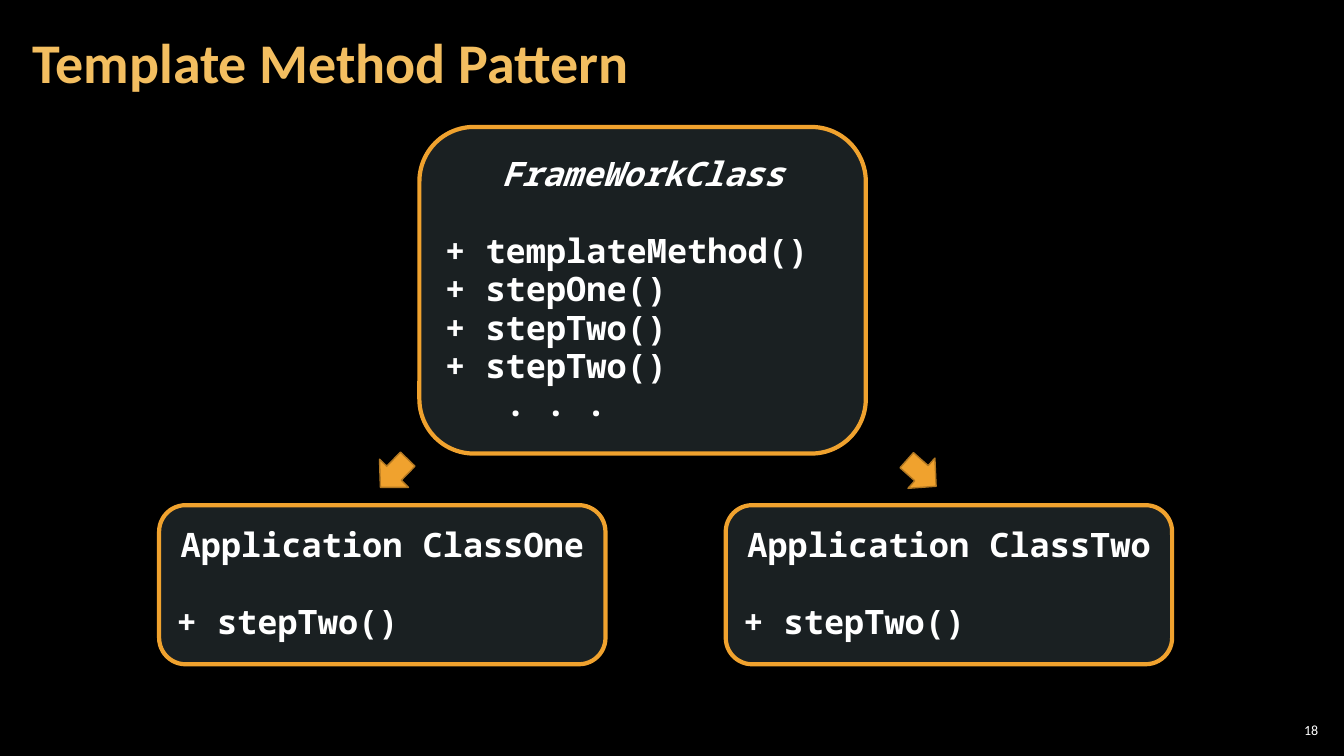
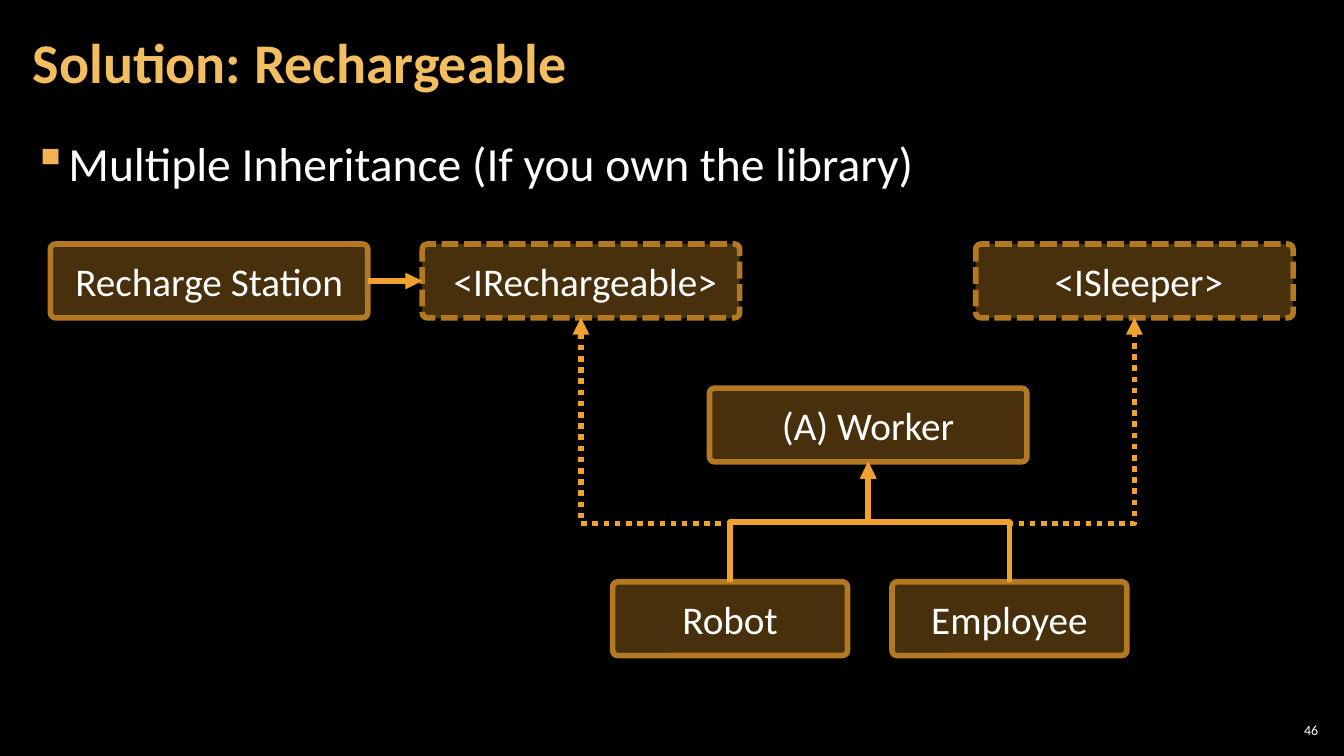
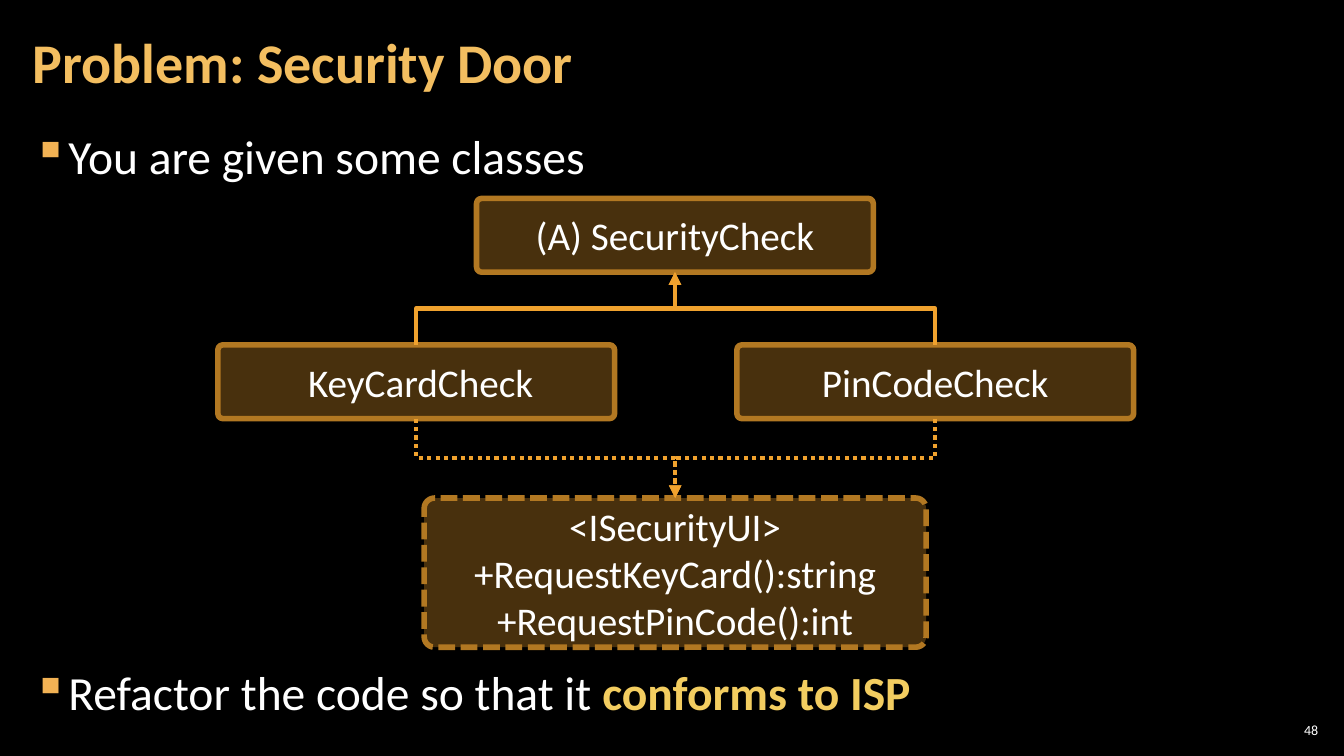
from dataclasses import dataclass
from typing import Any, NamedTuple

import lxml.etree
import pptx
import pptx.dml.color
import pptx.enum.dml
import pptx.enum.shapes
import pptx.enum.text
import pptx.oxml.ns
import pptx.util

Cm = pptx.util.Cm
Pt = pptx.util.Pt
qn = pptx.oxml.ns.qn
Preset = pptx.enum.shapes.MSO_SHAPE
Route = pptx.enum.shapes.MSO_CONNECTOR
Align = pptx.enum.text.PP_ALIGN
Anchor = pptx.enum.text.MSO_ANCHOR
Dash = pptx.enum.dml.MSO_LINE

COLORS = {
    "background": "000000",
    "title": "F3BE60",
    "text": "FFFFFF",
    "bullet": "F2B254",
    "strong": "F3CD60",
    "accent": "F0A22E",
    "border": "B27822",
    "card": "B5DBE5",
}
BODY_FONT = "Calibri"
CODE_FONT = "Noto Sans Mono"
TITLE_FONT = {"name": BODY_FONT, "size": Pt(40), "bold": True}
BULLET_FONT = {"name": BODY_FONT, "size": Pt(34)}
BOX_FONT = {"name": BODY_FONT, "size": Pt(28)}
CARD_FONT = {"name": CODE_FONT, "size": Pt(24), "bold": True}
NUMBER_FONT = {"name": BODY_FONT, "size": Pt(10)}
WIDE_INSETS = {"margin_left": Cm(0.3), "margin_right": Cm(0.3),
               "margin_top": Cm(0.1), "margin_bottom": Cm(0.1)}
TIGHT_INSETS = dict.fromkeys(WIDE_INSETS, Cm(0.1))

# Connection sites of a rectangle
TOP, LEFT, BOTTOM, RIGHT = range(4)


class Frame(NamedTuple):
    """Left, top, width and height in centimetres."""
    left: float
    top: float
    width: float
    height: float

    def lengths(self) -> list[int]:
        return [Cm(value) for value in self]


@dataclass(frozen=True)
class ClassBox:
    lines: str
    frame: Frame
    is_interface: bool = False


@dataclass(frozen=True)
class ClassCard:
    heading: str
    methods: list[str]
    frame: Frame
    is_abstract: bool = False


@dataclass(frozen=True)
class Bullet:
    plain: str
    strong: str = ""
    space_before: float = 0


@dataclass(frozen=True)
class Link:
    start: str
    start_site: int
    end: str
    end_site: int
    dotted: bool = False
    bend: float = 0.5


def apply(target: Any, values: dict[str, Any]) -> None:
    for name, value in values.items():
        setattr(target, name, value)


def rgb(color: str) -> pptx.dml.color.RGBColor:
    return pptx.dml.color.RGBColor.from_string(COLORS[color])


def set_font(font: Any, values: dict[str, Any], color: str = "text") -> None:
    apply(font, values)
    font.color.rgb = rgb(color)


def set_line(line: Any, color: str, points: float, dash: Any = None) -> None:
    line.color.rgb = rgb(color)
    line.width = Pt(points)
    if dash is not None:
        line.dash_style = dash


def add_filled(slide: Any, preset: Any, frame: Frame, color: str, opacity: int = 100) -> Any:
    shape = slide.shapes.add_shape(preset, *frame.lengths())
    shape.shadow.inherit = False
    shape.fill.solid()
    shape.fill.fore_color.rgb = rgb(color)
    if opacity < 100:
        fill_color = shape._element.spPr.find(".//" + qn("a:srgbClr"))
        lxml.etree.SubElement(fill_color, qn("a:alpha")).set("val", str(opacity * 1000))
    return shape


def add_text_box(slide: Any, frame: Frame, insets: dict[str, Any]) -> Any:
    text = slide.shapes.add_textbox(*frame.lengths()).text_frame
    text.word_wrap = True
    apply(text, insets)
    return text


def add_titled_slide(deck: Any, heading: str, number: int) -> Any:
    slide = deck.slides.add_slide(deck.slide_layouts[5])
    title = slide.shapes.title
    apply(title, dict(zip(("left", "top", "width", "height"),
                          Frame(0.53, 0.1, 26.59, 3.07).lengths())))
    title_text = title.text_frame
    title_text.text = heading
    apply(title_text, WIDE_INSETS | {"vertical_anchor": Anchor.MIDDLE, "word_wrap": True,
                                     "auto_size": pptx.enum.text.MSO_AUTO_SIZE.NONE})
    apply(title_text.paragraphs[0], {"alignment": Align.LEFT, "line_spacing": 0.9})
    set_font(title_text.paragraphs[0].runs[0].font, TITLE_FONT, "title")

    page = add_text_box(slide, Frame(32.13, 18.14, 1.19, 0.53), TIGHT_INSETS)
    page.vertical_anchor = Anchor.MIDDLE
    page.text = str(number)
    page.paragraphs[0].alignment = Align.RIGHT
    set_font(page.paragraphs[0].font, NUMBER_FONT)
    return slide


def add_bullets(slide: Any, top: float, bullets: list[Bullet]) -> None:
    text = add_text_box(slide, Frame(0.53, top, 32.79, 15.47), WIDE_INSETS)
    for index, bullet in enumerate(bullets):
        paragraph = text.add_paragraph() if index else text.paragraphs[0]
        properties = paragraph._p.get_or_add_pPr()
        properties.set("marL", str(Cm(0.84)))
        properties.set("indent", str(-Cm(0.84)))
        mark_color = lxml.etree.SubElement(properties, qn("a:buClr"))
        lxml.etree.SubElement(mark_color, qn("a:srgbClr")).set("val", COLORS["bullet"])
        lxml.etree.SubElement(properties, qn("a:buChar")).set("char", "▪")
        apply(paragraph, {"line_spacing": 1.05, "space_after": Pt(6),
                          "space_before": Pt(bullet.space_before)})
        for words, style, color in ((bullet.plain, {}, "text"),
                                    (bullet.strong, {"bold": True}, "strong")):
            if words:
                run = paragraph.add_run()
                run.text = words
                set_font(run.font, BULLET_FONT | style, color)


def add_class_box(slide: Any, box: ClassBox) -> Any:
    shape = add_filled(slide, Preset.ROUNDED_RECTANGLE, box.frame, "accent", 30)
    shape.adjustments[0] = 0.07
    set_line(shape.line, "border", 4, Dash.SQUARE_DOT if box.is_interface else None)
    text = shape.text_frame
    text.text = box.lines
    apply(text, {"word_wrap": True, "vertical_anchor": Anchor.MIDDLE})
    for paragraph in text.paragraphs:
        paragraph.alignment = Align.CENTER
        set_font(paragraph.font, BOX_FONT)
    return shape


def add_class_card(slide: Any, card: ClassCard) -> None:
    shape = add_filled(slide, Preset.ROUNDED_RECTANGLE, card.frame, "card", 15)
    set_line(shape.line, "accent", 3)
    text = shape.text_frame
    text.text = "\n".join([card.heading, *card.methods])
    apply(text, {"word_wrap": True, "vertical_anchor": Anchor.MIDDLE})
    for paragraph in text.paragraphs:
        if paragraph.text.startswith("."):
            paragraph._p.get_or_add_pPr().set("marL", str(Cm(1.52)))
        apply(paragraph, {"alignment": Align.LEFT, "line_spacing": 0.95})
        set_font(paragraph.font, CARD_FONT)
    heading = text.paragraphs[0]
    apply(heading, {"alignment": Align.CENTER, "space_after": Pt(27.4)})
    heading.font.italic = card.is_abstract


def turn_elbow(connector: Any, bend: float) -> None:
    """Make an elbow leave and arrive vertically by rotating its frame."""
    start_x, start_y = connector.begin_x, connector.begin_y
    end_x, end_y = connector.end_x, connector.end_y
    middle_x, middle_y = (start_x + end_x) // 2, (start_y + end_y) // 2
    half_x, half_y = (end_x - start_x) // 2, (end_y - start_y) // 2
    degrees, sign = (90, 1) if half_x * half_y < 0 else (270, -1)
    apply(connector, {
        "begin_x": middle_x - sign * half_y,
        "begin_y": middle_y + sign * half_x,
        "end_x": middle_x + sign * half_y,
        "end_y": middle_y - sign * half_x,
    })
    properties = connector._element.spPr
    properties.find(qn("a:xfrm")).set("rot", str(degrees * 60000))
    guides = properties.find(".//" + qn("a:avLst"))
    guide = lxml.etree.SubElement(guides, qn("a:gd"))
    guide.set("name", "adj1")
    guide.set("fmla", f"val {round(bend * 100000)}")


def add_link(slide: Any, shapes: dict[str, Any], link: Link, points: float) -> None:
    is_straight = link.start_site == RIGHT
    route = Route.STRAIGHT if is_straight else Route.ELBOW
    connector = slide.shapes.add_connector(route, 0, 0, 0, 0)
    connector.begin_connect(shapes[link.start], link.start_site)
    connector.end_connect(shapes[link.end], link.end_site)
    if not is_straight:
        turn_elbow(connector, link.bend)
    set_line(connector.line, "accent", points, Dash.ROUND_DOT if link.dotted else None)
    properties = connector._element.spPr
    lxml.etree.SubElement(properties.find(qn("a:ln")), qn("a:tailEnd")).set("type", "triangle")
    lxml.etree.SubElement(properties, qn("a:effectLst"))


def add_class_diagram(slide: Any, boxes: dict[str, ClassBox], links: list[Link],
                      points: float) -> None:
    shapes = {name: add_class_box(slide, box) for name, box in boxes.items()}
    for link in links:
        add_link(slide, shapes, link, points)


def build_template_method(deck: Any) -> None:
    slide = add_titled_slide(deck, "Template Method Pattern", 18)
    cards = [
        ClassCard("FrameWorkClass",
                  ["+ templateMethod()", "+ stepOne()", "+ stepTwo()", "+ stepTwo()", ". . ."],
                  Frame(10.57, 3.2, 11.25, 8.23), is_abstract=True),
        ClassCard("Application ClassOne", ["+ stepTwo()"], Frame(4.01, 12.73, 11.25, 4.01)),
        ClassCard("Application ClassTwo", ["+ stepTwo()"], Frame(18.29, 12.73, 11.25, 4.01)),
    ]
    for card in cards:
        add_class_card(slide, card)
    for left, rotation in ((9.42, 224.1), (22.71, 131.6)):
        arrow = add_filled(slide, Preset.UP_ARROW, Frame(left, 11.43, 1.02, 0.99), "accent")
        arrow.rotation = rotation
        set_line(arrow.line, "border", 1)


def build_rechargeable(deck: Any) -> None:
    slide = add_titled_slide(deck, "Solution: Rechargeable", 46)
    add_bullets(slide, 3.2, [Bullet("Multiple Inheritance (If you own the library)")])
    wide, narrow, height = 8, 5.92, 1.86
    top_row, bottom_row = 6.15, 14.66
    boxes = {
        "worker": ClassBox("(A) Worker", Frame(17.88, 9.78, wide, height)),
        "robot": ClassBox("Robot", Frame(15.44, bottom_row, narrow, height)),
        "employee": ClassBox("Employee", Frame(22.48, bottom_row, narrow, height)),
        "rechargeable": ClassBox(" <IRechargeable>", Frame(10.64, top_row, wide, height), True),
        "station": ClassBox("Recharge Station", Frame(1.27, top_row, wide, height)),
        "sleeper": ClassBox(" <ISleeper>", Frame(24.59, top_row, wide, height), True),
    }
    add_class_diagram(slide, boxes, [
        Link("station", RIGHT, "rechargeable", LEFT),
        Link("robot", TOP, "worker", BOTTOM),
        Link("robot", TOP, "rechargeable", BOTTOM, dotted=True, bend=0.22),
        Link("employee", TOP, "worker", BOTTOM),
        Link("employee", TOP, "sleeper", BOTTOM, dotted=True, bend=0.22),
    ], 4)


def build_security_door(deck: Any) -> None:
    slide = add_titled_slide(deck, "Problem: Security Door", 48)
    add_bullets(slide, 3.02, [
        Bullet("You are given some classes"),
        Bullet("Refactor the code so that it ", "conforms to ISP", space_before=334),
    ])
    width, height, check_row = 10, 1.86, 8.69
    boxes = {
        "pin": ClassBox("PinCodeCheck", Frame(18.57, check_row, width, height)),
        "ui": ClassBox("<ISecurityUI>\n+RequestKeyCard():string\n+RequestPinCode():int",
                       Frame(10.69, 12.55, 12.65, 3.76), True),
        "card": ClassBox(" KeyCardCheck", Frame(5.49, check_row, width, height)),
        "check": ClassBox("(A) SecurityCheck", Frame(12.01, 5, width, height)),
    }
    links = []
    for source in ("card", "pin"):
        links.append(Link(source, TOP, "check", BOTTOM))
        links.append(Link(source, BOTTOM, "ui", TOP, dotted=True))
    add_class_diagram(slide, boxes, links, 3)


def main() -> None:
    deck = pptx.Presentation()
    deck.slide_width, deck.slide_height = Cm(33.87), Cm(19.05)
    backdrop = deck.slide_master.background.fill
    backdrop.solid()
    backdrop.fore_color.rgb = rgb("background")
    build_template_method(deck)
    build_rechargeable(deck)
    build_security_door(deck)
    deck.save("out.pptx")


if __name__ == "__main__":
    main()
